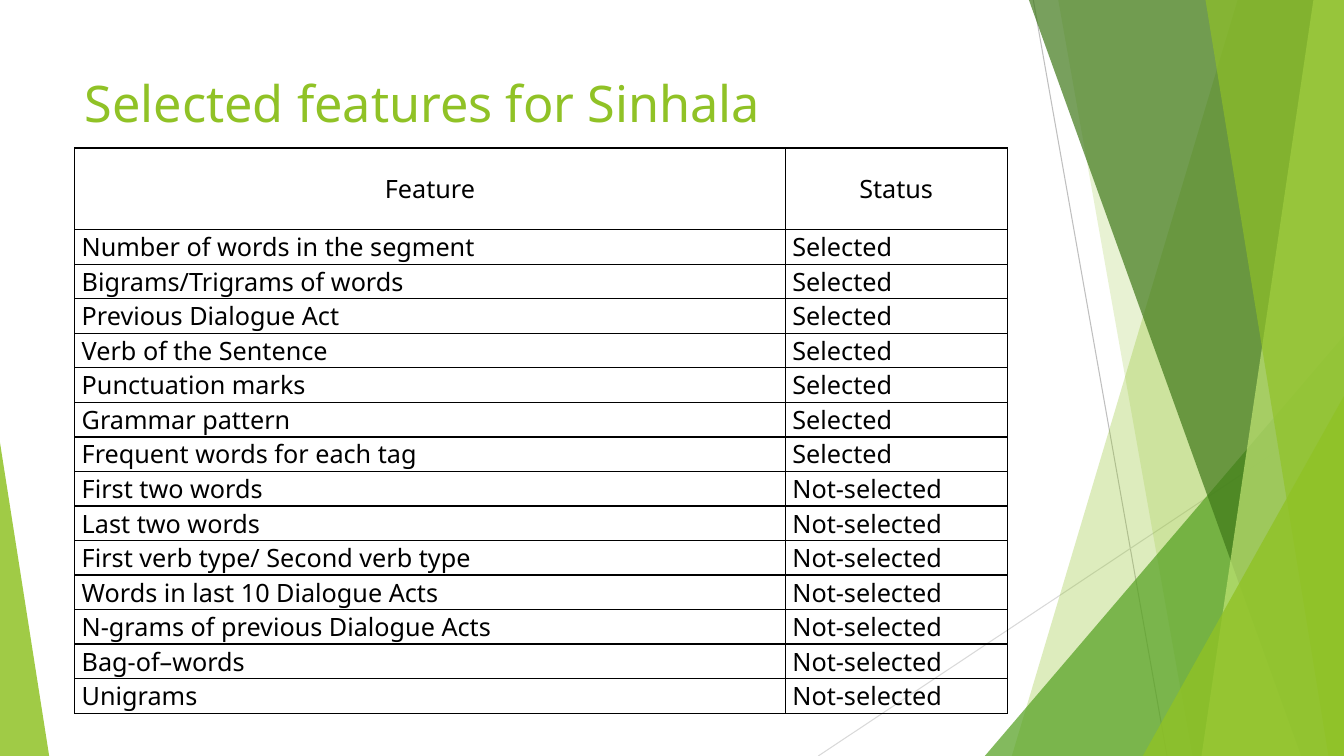
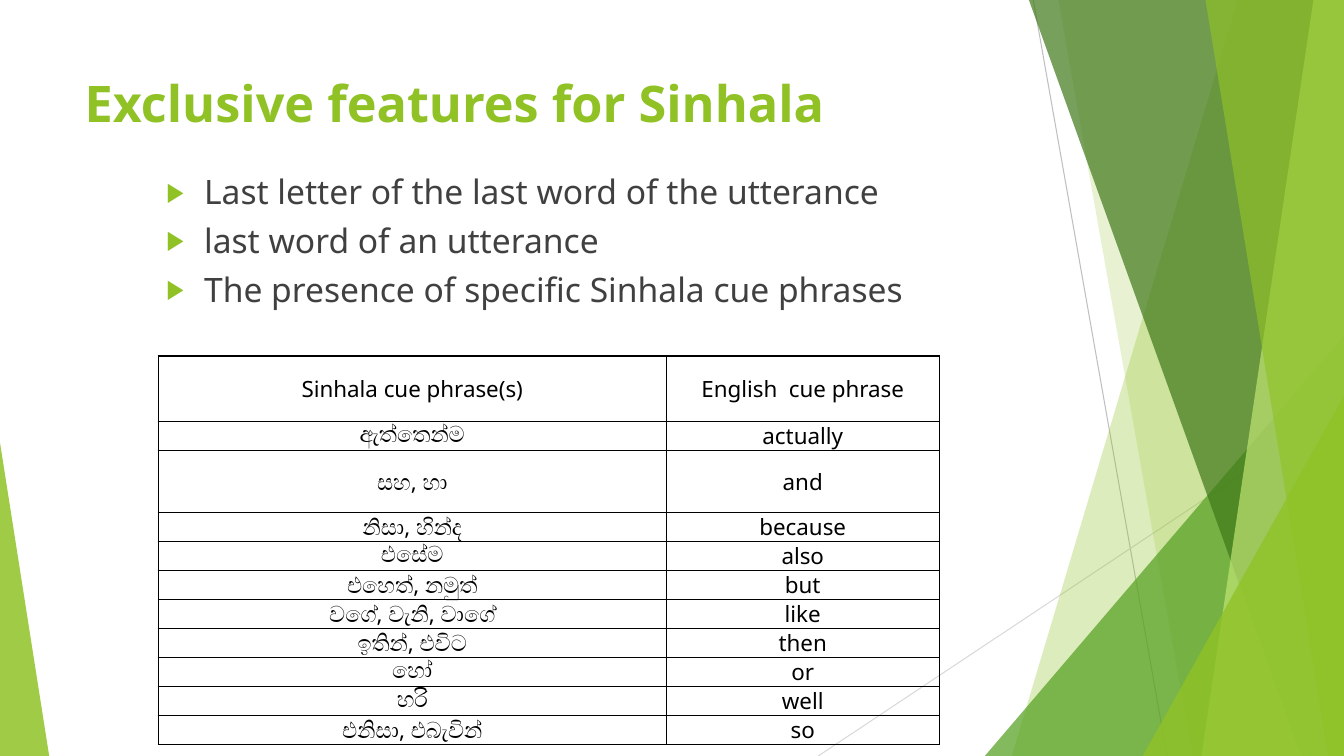
from pptx import Presentation
from pptx.dml.color import RGBColor
from pptx.enum.shapes import MSO_CONNECTOR, MSO_SHAPE
from pptx.enum.text import MSO_ANCHOR, MSO_AUTO_SIZE, PP_ALIGN
from pptx.oxml import parse_xml
from pptx.oxml.ns import nsdecls, qn
from pptx.util import Cm, Pt

SLIDE_W, SLIDE_H = 33.87, 19.05
FONT = "Noto Sans"
LIME, GREEN, FOREST, PALE = "90C226", "54A021", "3F7819", "C0E474"
BLACK, DARK_GREY = "000000", "404040"

STATUSES = {
    "Selected": [
        "Number of words in the segment", "Bigrams/Trigrams of words",
        "Previous Dialogue Act", "Verb of the Sentence", "Punctuation marks",
        "Grammar pattern", "Frequent words for each tag",
    ],
    "Not-selected": [
        "First two words", "Last two words",
        "First verb type/ Second verb type", "Words in last 10 Dialogue Acts",
        "N-grams of previous Dialogue Acts", "Bag-of–words", "Unigrams",
    ],
}
CUE_PHRASES = [
    ("Sinhala cue phrase(s)", "English  cue phrase"),
    ("ඇත්තෙන්ම", "actually"),
    ("සහ, හා", "and"),
    ("නිසා, හින්ද", "because"),
    ("එසේම", "also"),
    ("එහෙත්, නමුත්", "but"),
    ("වගේ, වැනි, වාගේ", "like"),
    ("ඉතින්, එවිට", "then"),
    ("හෝ", "or"),
    ("හරි", "well"),
    ("එනිසා, එබැවින්", "so"),
]
CUE_BULLETS = [
    "Last letter of the last word of the utterance",
    "last word of an utterance",
    "The presence of specific Sinhala cue phrases",
]


def rgb(value):
    """Turn a hex string into a colour."""
    return RGBColor.from_string(value)


def style_font(font, size, color, bold=False):
    """Set the shared typeface with a size, colour and weight."""
    font.name, font.size, font.bold = FONT, Pt(size), bold
    font.color.rgb = rgb(color)


def place(shape, left, top, width, height):
    """Move and size a shape, in centimetres."""
    shape.left, shape.top = Cm(left), Cm(top)
    shape.width, shape.height = Cm(width), Cm(height)


def tint(shape, color, opacity):
    """Give a shape a translucent fill without outline or shadow."""
    shape.shadow.inherit = False
    shape.line.fill.background()
    shape.fill.solid()
    shape.fill.fore_color.rgb = rgb(color)
    fill = shape.element.spPr.find(qn("a:solidFill"))
    fill[0].append(parse_xml(
        f'<a:alpha {nsdecls("a")} val="{opacity * 1000}"/>'))


def add_line(shapes, start, end, color):
    """Draw a thin straight line."""
    points = [Cm(value) for value in (*start, *end)]
    line = shapes.add_connector(MSO_CONNECTOR.STRAIGHT, *points)
    line.line.color.rgb = rgb(color)
    line.line.width = Pt(0.75)
    line.element.spPr.append(parse_xml(f'<a:effectLst {nsdecls("a")}/>'))


def add_ribbon(shapes, top_x, bottom_x, color, opacity):
    """Fill from a slanted left edge to the right side of the slide."""
    builder = shapes.build_freeform(Cm(top_x), 0)
    corners = [(SLIDE_W, 0), (SLIDE_W, SLIDE_H), (bottom_x, SLIDE_H)]
    builder.add_line_segments([(Cm(x), Cm(y)) for x, y in corners])
    tint(builder.convert_to_shape(), color, opacity)


def add_corner(shapes, left, right, top, apex, color, opacity):
    """Draw a triangle on the bottom edge; apex 0 is left and 1 is right."""
    corner = shapes.add_shape(
        MSO_SHAPE.ISOSCELES_TRIANGLE, Cm(left), Cm(top),
        Cm(right - left), Cm(SLIDE_H - top))
    corner.adjustments[0] = apex
    tint(corner, color, opacity)


def add_backdrop(prs, slide):
    """Draw the facets as one group and move it to the slide master."""
    group = slide.shapes.add_group_shape()
    shapes = group.shapes
    add_line(shapes, (26.04, 0), (29.41, SLIDE_H), "BFBFBF")
    add_line(shapes, (SLIDE_W, 10.24), (20.62, SLIDE_H), "D9D9D9")
    add_ribbon(shapes, 31.19, 25.5, LIME, 30)
    add_ribbon(shapes, 26.67, 30.05, LIME, 20)
    add_corner(shapes, 24.82, SLIDE_W, 8.46, 1, GREEN, 72)
    add_ribbon(shapes, 25.93, 32.79, FOREST, 70)
    add_ribbon(shapes, 33.1, 30.28, PALE, 70)
    add_ribbon(shapes, 30.38, 33.48, LIME, 65)
    add_corner(shapes, 28.8, SLIDE_W, 9.98, 1, LIME, 80)
    add_corner(shapes, 0, 1.24, 11.15, 0, LIME, 85)
    for number, props in enumerate(group.element.iter(qn("p:cNvPr")), 100):
        props.set("id", str(number))
    prs.slide_master.shapes.element.insert(2, group.element)


def set_title(slide, text, bold=False):
    """Place and format the slide title."""
    title = slide.shapes.title
    place(title, 1.88, 1.7, 23.88, 3.66)
    frame = title.text_frame
    frame.text = text
    frame.auto_size = MSO_AUTO_SIZE.NONE
    frame.vertical_anchor = MSO_ANCHOR.TOP
    paragraph = frame.paragraphs[0]
    paragraph.alignment = PP_ALIGN.LEFT
    style_font(paragraph.runs[0].font, 36, LIME, bold)


def add_bullet(paragraph):
    """Give a paragraph a hanging lime arrowhead bullet."""
    props = paragraph._p.get_or_add_pPr()
    props.set("marL", str(Cm(0.95)))
    props.set("indent", str(-Cm(0.95)))
    for xml in (f'<a:buClr {nsdecls("a")}><a:srgbClr val="{LIME}"/></a:buClr>',
                f'<a:buSzPct {nsdecls("a")} val="80000"/>',
                f'<a:buChar {nsdecls("a")} char="▶"/>'):
        props.append(parse_xml(xml))


def set_bullets(slide, items):
    """Fill the body placeholder with a bulleted list."""
    body = slide.placeholders[1]
    place(body, 3.94, 4.3, 22.86, 5.08)
    frame = body.text_frame
    frame.text = "\n".join(items)
    frame.auto_size = MSO_AUTO_SIZE.NONE
    for paragraph in frame.paragraphs:
        paragraph.line_spacing = 0.9
        paragraph.space_before = Pt(9)
        add_bullet(paragraph)
        style_font(paragraph.runs[0].font, 24, DARK_GREY)


def fill_cell(cell, text, size, alignment):
    """Write one transparent table cell with black borders."""
    cell.text = text
    cell.vertical_anchor = MSO_ANCHOR.MIDDLE
    cell.margin_left = cell.margin_right = Cm(0.18)
    cell.margin_top = cell.margin_bottom = 0
    cell.fill.background()
    paragraph = cell.text_frame.paragraphs[0]
    paragraph.alignment = alignment
    paragraph.line_spacing = 0.95
    style_font(paragraph.runs[0].font, size, BLACK)
    props = cell._tc.get_or_add_tcPr()
    for index, side in enumerate("LRTB"):
        props.insert(index, parse_xml(
            f'<a:ln{side} {nsdecls("a")} w="{Pt(1)}"><a:solidFill>'
            f'<a:srgbClr val="{BLACK}"/></a:solidFill></a:ln{side}>'))


def add_grid(slide, left, top, widths, heights, rows, size, body_alignment):
    """Add a ruled table whose first row is a centred header."""
    table = slide.shapes.add_table(
        len(rows), len(widths), Cm(left), Cm(top),
        Cm(sum(widths)), Cm(sum(heights))).table
    table.first_row = table.horz_banding = False
    for column, width in zip(table.columns, widths):
        column.width = Cm(width)
    for r, (row, height) in enumerate(zip(rows, heights)):
        table.rows[r].height = Cm(height)
        alignment = body_alignment if r else PP_ALIGN.CENTER
        for c, text in enumerate(row):
            fill_cell(table.cell(r, c), text, size, alignment)


def main():
    """Build both slides and save them."""
    prs = Presentation()
    prs.slide_width, prs.slide_height = Cm(SLIDE_W), Cm(SLIDE_H)

    selected = prs.slides.add_slide(prs.slide_layouts[5])
    add_backdrop(prs, selected)
    set_title(selected, "Selected features for Sinhala")
    rows = [("Feature", "Status")]
    rows += [(feature, status) for status, features in STATUSES.items()
             for feature in features]
    add_grid(selected, 1.88, 3.73, [17.91, 5.59], [2.06] + [0.87] * 14,
             rows, 18, PP_ALIGN.LEFT)

    exclusive = prs.slides.add_slide(prs.slide_layouts[1])
    set_title(exclusive, "Exclusive features for Sinhala", bold=True)
    set_bullets(exclusive, CUE_BULLETS)
    add_grid(exclusive, 3.99, 8.97, [12.8, 6.88],
             [1.65, 0.69, 1.57] + [0.69] * 8,
             CUE_PHRASES, 16, PP_ALIGN.CENTER)

    prs.save("out.pptx")


main()
